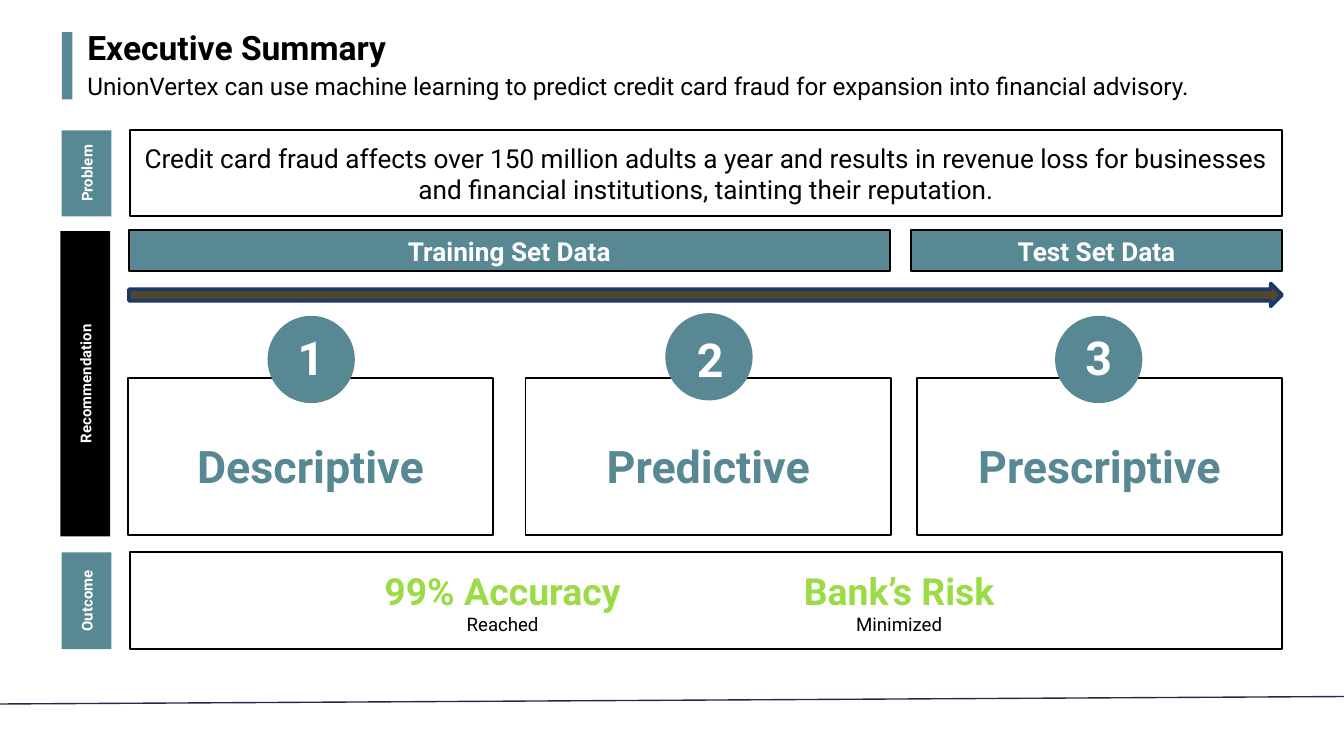
from lxml import etree
from pptx import Presentation
from pptx.dml.color import RGBColor
from pptx.enum.shapes import MSO_CONNECTOR, MSO_SHAPE
from pptx.enum.text import MSO_ANCHOR, MSO_AUTO_SIZE, PP_ALIGN
from pptx.oxml.ns import qn
from pptx.util import Inches, Pt

RECTANGLE = MSO_SHAPE.RECTANGLE
OVAL = MSO_SHAPE.OVAL
RIGHT_ARROW = MSO_SHAPE.RIGHT_ARROW
STRAIGHT = MSO_CONNECTOR.STRAIGHT
TOP, MIDDLE = MSO_ANCHOR.TOP, MSO_ANCHOR.MIDDLE
LEFT, CENTER = PP_ALIGN.LEFT, PP_ALIGN.CENTER

TEAL = RGBColor(0x58, 0x88, 0x94)
BLACK = RGBColor(0, 0, 0)
WHITE = RGBColor(0xFF, 0xFF, 0xFF)
GREEN = RGBColor(0x9B, 0xDC, 0x46)
OLIVE = RGBColor(0x50, 0x48, 0x2B)
NAVY = RGBColor(0x1B, 0x38, 0x67)
RULE_NAVY = RGBColor(0x22, 0x2A, 0x47)

FONT = "Roboto"
INSETS = (0.07, 0.04, 0.07, 0.04)
NO_INSETS = (0, 0, 0, 0)


def write(box, lines, align=CENTER, anchor=MIDDLE, insets=INSETS):
    """Fill a box with paragraphs given as (text, size, color, bold)."""
    frame = box.text_frame
    frame.word_wrap = True
    frame.auto_size = MSO_AUTO_SIZE.NONE
    frame.vertical_anchor = anchor
    (frame.margin_left, frame.margin_top,
     frame.margin_right, frame.margin_bottom) = map(Inches, insets)
    for index, (text, size, color, bold) in enumerate(lines):
        para = frame.add_paragraph() if index else frame.paragraphs[0]
        para.alignment = align
        span = para.add_run()
        span.text = text
        span.font.name = FONT
        span.font.size = Pt(size)
        span.font.bold = bold
        span.font.color.rgb = color


def add_block(page, kind, area, fill=None, line=None, line_width=1):
    """Add a preset shape at area = (left, top, width, height) in inches."""
    block = page.shapes.add_shape(kind, *map(Inches, area))
    block.shadow.inherit = False
    if fill is None:
        block.fill.background()
    else:
        block.fill.solid()
        block.fill.fore_color.rgb = fill
    if line is None:
        block.line.fill.background()
    else:
        block.line.color.rgb = line
        block.line.width = Pt(line_width)
    return block


def add_text(page, area, lines, **layout):
    box = page.shapes.add_textbox(*map(Inches, area))
    write(box, lines, **layout)


def add_side_label(page, text, left, top, height, fill):
    """Add a tab whose text reads upwards; it is turned about its centre."""
    width = 0.37
    shift = (height - width) / 2
    tab = add_block(page, RECTANGLE, (left - shift, top + shift, height, width), fill)
    tab.rotation = 270
    write(tab, [(text, 8, WHITE, True)])


def add_step(page, number, name, left, circle_spot, number_spot):
    card = add_block(page, RECTANGLE, (left, 2.81, 2.72, 1.17), line=BLACK)
    # The deeper top inset keeps the name clear of the circle
    write(card, [(name, 24, TEAL, True)], insets=(0.07, 0.18, 0.07, 0.04))
    add_block(page, OVAL, (*circle_spot, 0.65, 0.65), TEAL)
    add_text(page, (*number_spot, 0.57, 0.63), [(str(number), 25, WHITE, True)],
             anchor=TOP, insets=(0.1, 0.1, 0.1, 0.1))


def add_rule(page, start, end):
    rule = page.shapes.add_connector(STRAIGHT, *map(Inches, start + end))
    rule.line.color.rgb = RULE_NAVY
    rule.line.width = Pt(0.75)
    etree.SubElement(rule._element.spPr, qn("a:effectLst"))


def add_heading(page):
    title = page.shapes.title
    title.left, title.top, title.width, title.height = map(
        Inches, (0.65, 0.2, 8.16, 0.31))
    write(title, [("Executive Summary", 18, BLACK, True)],
          align=LEFT, anchor=TOP, insets=NO_INSETS)
    add_text(page, (0.65, 0.53, 8.81, 0.34),
             [("UnionVertex can use machine learning to predict credit card fraud "
               "for expansion into financial advisory.", 13, BLACK, False)],
             align=LEFT, anchor=TOP, insets=NO_INSETS)
    add_block(page, RECTANGLE, (0.46, 0.24, 0.08, 0.5), TEAL)


def main():
    deck = Presentation()
    # Widescreen, 16:9
    deck.slide_width = Inches(10)
    deck.slide_height = deck.slide_width * 9 // 16
    page = deck.slides.add_slide(deck.slide_layouts[5])
    add_heading(page)

    # Row labels
    add_side_label(page, "Problem", 0.46, 0.97, 0.64, TEAL)
    add_side_label(page, "Recommendation", 0.45, 1.72, 2.27, BLACK)
    add_side_label(page, "Outcome", 0.46, 4.11, 0.72, TEAL)

    # Problem
    problem = add_block(page, RECTANGLE, (0.97, 0.97, 8.57, 0.64), line=BLACK)
    write(problem, [("Credit card fraud affects over 150 million adults a year and "
                     "results in revenue loss for businesses and financial "
                     "institutions, tainting their reputation.", 14, BLACK, False)])

    # Recommendation: data sets, arrow and three steps
    for text, left, width in (("Training Set Data", 0.96, 5.66),
                              ("Test Set Data", 6.78, 2.76)):
        band = add_block(page, RECTANGLE, (left, 1.71, width, 0.31), TEAL, BLACK)
        write(band, [(text, 14, WHITE, True)])
    add_block(page, RIGHT_ARROW, (0.96, 2.11, 8.58, 0.17), OLIVE, NAVY, 2)
    steps = (("Descriptive", 0.95, (1.99, 2.35), (2.03, 2.35)),
             ("Predictive", 3.91, (4.95, 2.33), (5, 2.36)),
             ("Prescriptive", 6.82, (7.85, 2.35), (7.89, 2.35)))
    for number, step in enumerate(steps, start=1):
        add_step(page, number, *step)

    # Outcome
    add_block(page, RECTANGLE, (0.97, 4.11, 8.57, 0.72), line=BLACK)
    for result, note, left, width in (("99% Accuracy", "Reached", 2.27, 2.94),
                                      ("Bank’s Risk", "Minimized", 5.33, 2.72)):
        add_text(page, (left, 4.12, width, 0.72),
                 [(result, 20, GREEN, True), (note, 10, BLACK, False)])

    # Footer rule
    add_rule(page, (-0.29, 5.24), (10.48, 5.18))
    deck.save("out.pptx")


if __name__ == "__main__":
    main()
